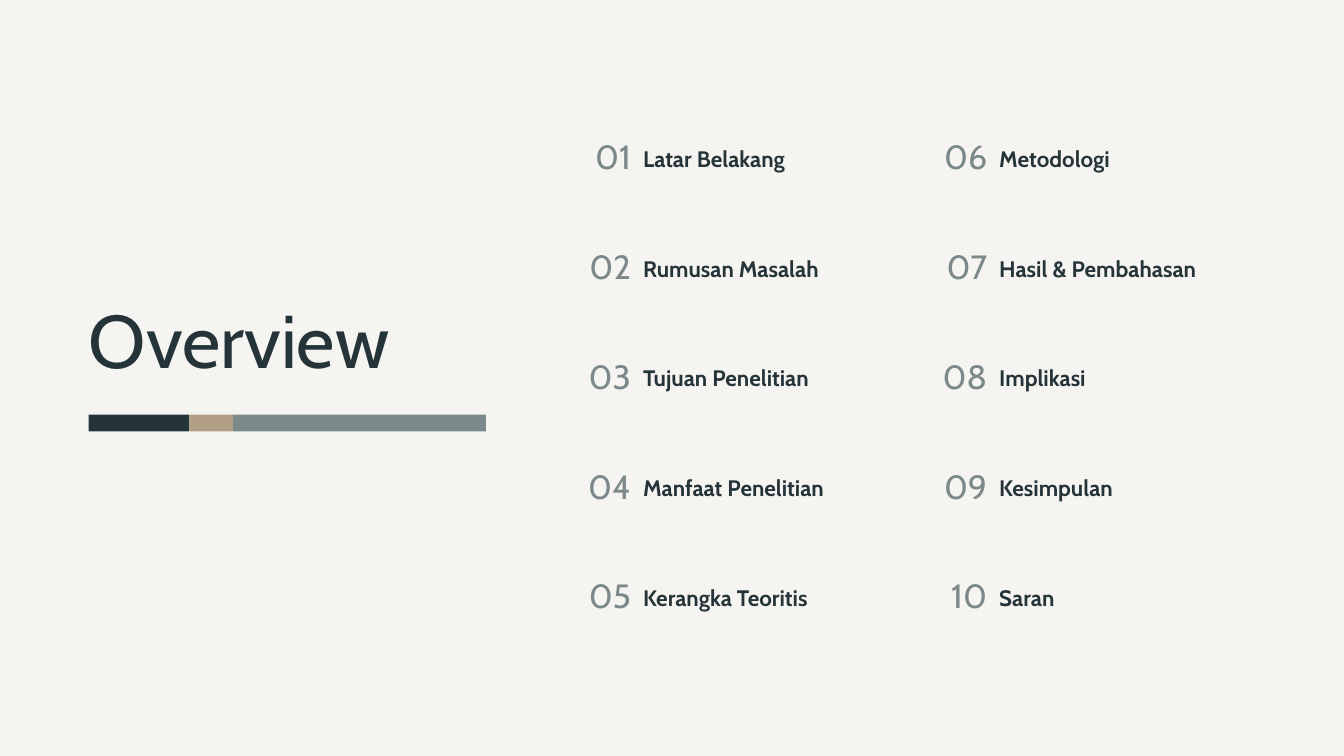
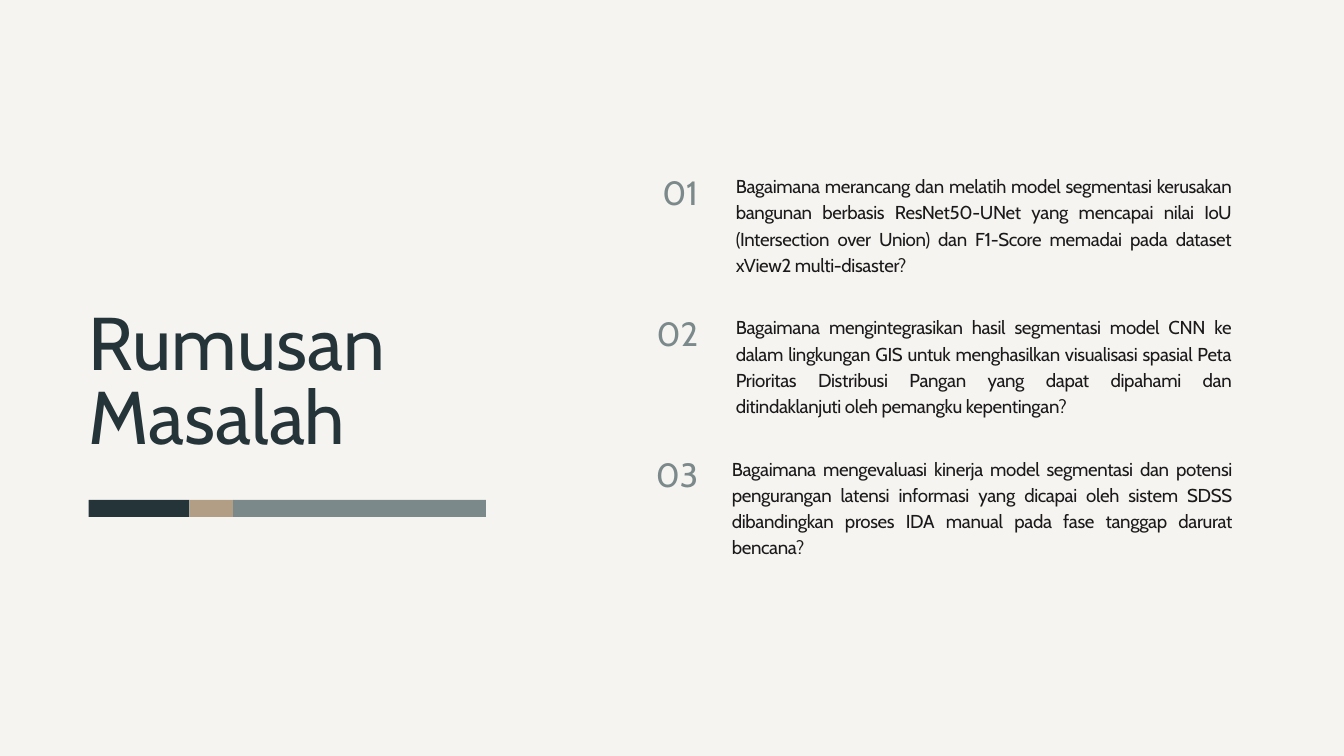
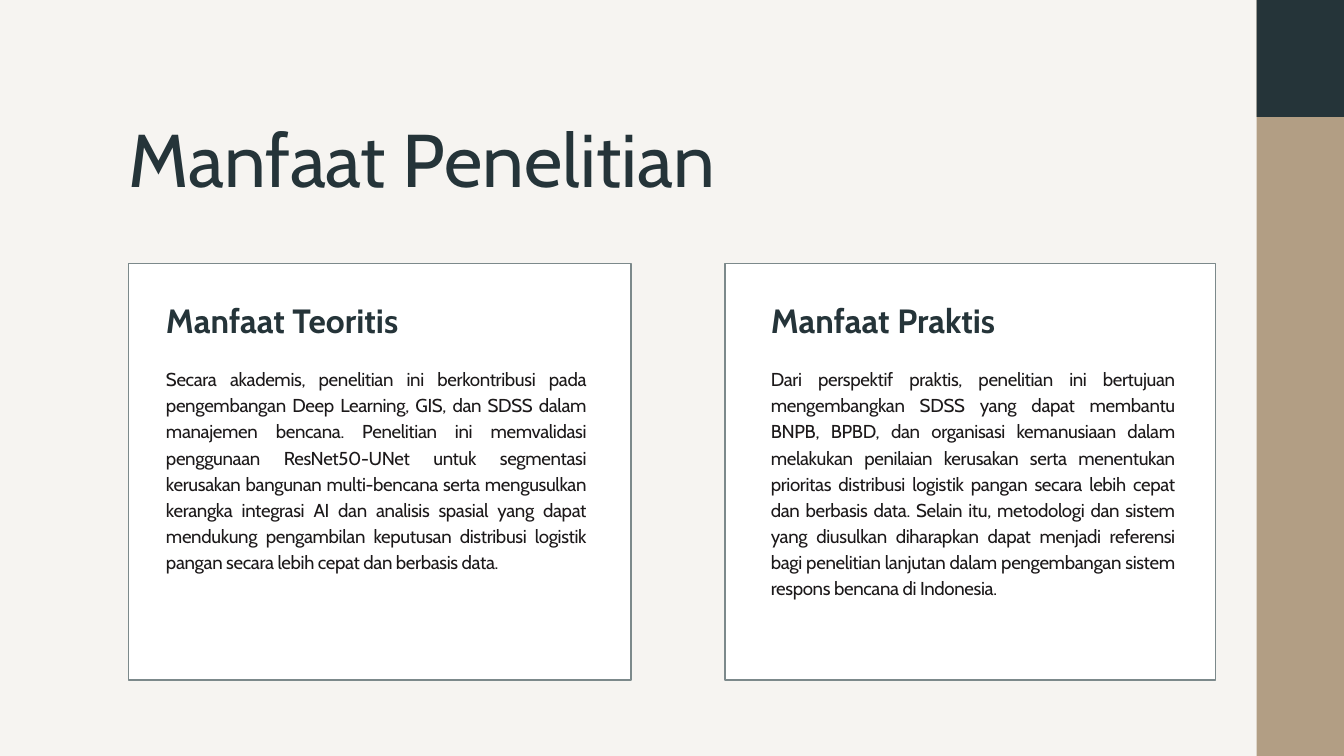
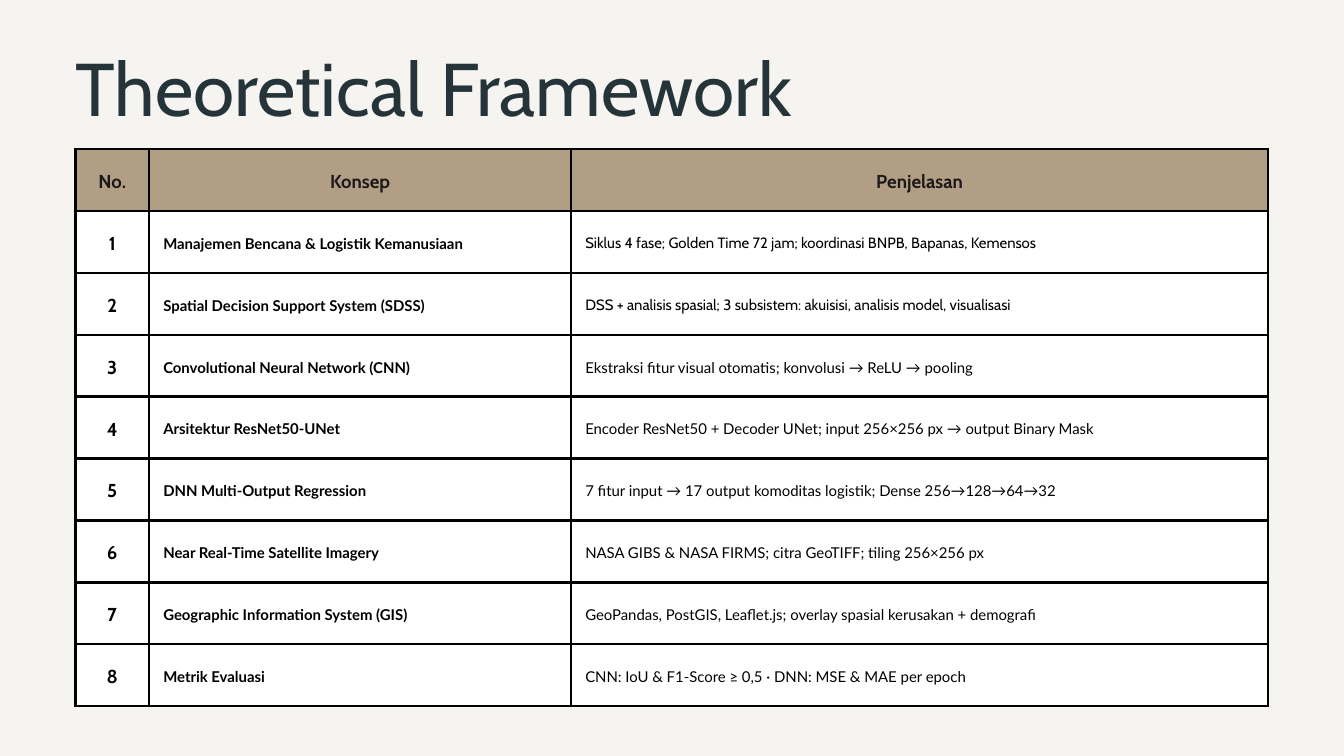
from dataclasses import dataclass, replace
from typing import NamedTuple

from pptx import Presentation
from pptx.dml.color import RGBColor
from pptx.enum.shapes import MSO_SHAPE
from pptx.enum.text import MSO_ANCHOR, MSO_AUTO_SIZE, PP_ALIGN
from pptx.oxml.ns import qn
from pptx.util import Inches, Pt
from lxml.etree import SubElement

COLORS = {
    "background": "F6F4F1",
    "dark": "253439",
    "sand": "B29E84",
    "slate": "7C898B",
    "ink": "1C191A",
    "white": "FFFFFF",
    "black": "000000",
}
SLIDE_WIDTH, SLIDE_HEIGHT = 20, 11.25
TITLE_ONLY, COMPARISON = 5, 4


class Box(NamedTuple):
    left: float
    top: float
    width: float
    height: float


@dataclass(frozen=True)
class TextStyle:
    size: float
    line: float
    color: str
    bold: bool = False
    align: PP_ALIGN = PP_ALIGN.LEFT
    font: str = "Cabin"
    tracking: int = 0


TITLE = TextStyle(80, 80, "dark")
NUMBER = TextStyle(36, 36, "slate", align=PP_ALIGN.RIGHT)
TOPIC = TextStyle(24, 26.4, "dark", bold=True)
HEADING = TextStyle(36, 36, "dark", bold=True)
BODY = TextStyle(20, 28, "ink", align=PP_ALIGN.JUSTIFY, tracking=-40)
TABLE_HEADER = TextStyle(20, 28, "ink", bold=True, align=PP_ALIGN.CENTER)
TABLE_NUMBER = replace(TABLE_HEADER, color="black")
TABLE_CONCEPT = TextStyle(16, 22.4, "black", bold=True, font="Lato")
TABLE_DETAIL = replace(TABLE_CONCEPT, bold=False)


class Question(NamedTuple):
    text: str
    left: float
    width: float


class Benefit(NamedTuple):
    heading: str
    text: str
    card: Box
    text_left: float
    text_width: float


class Concept(NamedTuple):
    name: str
    detail: str
    font: str = "Lato"


TOPIC_COLUMNS = [
    ["Latar Belakang", "Rumusan Masalah", "Tujuan Penelitian", "Manfaat Penelitian", "Kerangka Teoritis"],
    ["Metodologi", "Hasil & Pembahasan", "Implikasi", "Kesimpulan", "Saran"],
]

QUESTIONS = [
    Question(
        "Bagaimana merancang dan melatih model segmentasi kerusakan bangunan berbasis "
        "ResNet50-UNet yang mencapai nilai IoU (Intersection over Union) dan F1-Score "
        "memadai pada dataset xView2 multi-disaster?", 10.95, 7.37),
    Question(
        "Bagaimana mengintegrasikan hasil segmentasi model CNN ke dalam lingkungan GIS "
        "untuk menghasilkan visualisasi spasial Peta Prioritas Distribusi Pangan yang "
        "dapat dipahami dan ditindaklanjuti oleh pemangku kepentingan?", 10.95, 7.37),
    Question(
        "Bagaimana mengevaluasi kinerja model segmentasi dan potensi pengurangan latensi "
        "informasi yang dicapai oleh sistem SDSS dibandingkan proses IDA manual pada fase "
        "tanggap darurat bencana?", 10.89, 7.44),
]

BENEFITS = [
    Benefit(
        "Manfaat Teoritis",
        "Secara akademis, penelitian ini berkontribusi pada pengembangan Deep Learning, "
        "GIS, dan SDSS dalam manajemen bencana. Penelitian ini memvalidasi penggunaan "
        "ResNet50-UNet untuk segmentasi kerusakan bangunan multi-bencana serta mengusulkan "
        "kerangka integrasi AI dan analisis spasial yang dapat mendukung pengambilan "
        "keputusan distribusi logistik pangan secara lebih cepat dan berbasis data.",
        Box(1.91, 3.92, 7.48, 6.2), 2.47, 6.25),
    Benefit(
        "Manfaat Praktis",
        "Dari perspektif praktis, penelitian ini bertujuan mengembangkan SDSS yang dapat "
        "membantu BNPB, BPBD, dan organisasi kemanusiaan dalam melakukan penilaian "
        "kerusakan serta menentukan prioritas distribusi logistik pangan secara lebih "
        "cepat dan berbasis data. Selain itu, metodologi dan sistem yang diusulkan "
        "diharapkan dapat menjadi referensi bagi penelitian lanjutan dalam pengembangan "
        "sistem respons bencana di Indonesia.",
        Box(10.79, 3.92, 7.3, 6.2), 11.47, 6.01),
]

CONCEPTS = [
    Concept("Manajemen Bencana & Logistik Kemanusiaan",
            "Siklus 4 fase; Golden Time 72 jam; koordinasi BNPB, Bapanas, Kemensos", "Cabin"),
    Concept("Spatial Decision Support System (SDSS)",
            "DSS + analisis spasial; 3 subsistem: akuisisi, analisis model, visualisasi", "Cabin"),
    Concept("Convolutional Neural Network (CNN)",
            "Ekstraksi fitur visual otomatis; konvolusi → ReLU → pooling"),
    Concept("Arsitektur ResNet50-UNet",
            "Encoder ResNet50 + Decoder UNet; input 256×256 px → output Binary Mask"),
    Concept("DNN Multi-Output Regression",
            "7 fitur input → 17 output komoditas logistik; Dense 256→128→64→32"),
    Concept("Near Real-Time Satellite Imagery",
            "NASA GIBS & NASA FIRMS; citra GeoTIFF; tiling 256×256 px"),
    Concept("Geographic Information System (GIS)",
            "GeoPandas, PostGIS, Leaflet.js; overlay spasial kerusakan + demografi"),
    Concept("Metrik Evaluasi",
            "CNN: IoU & F1-Score ≥ 0,5 · DNN: MSE & MAE per epoch"),
]


def rgb(name: str) -> RGBColor:
    return RGBColor.from_string(COLORS[name])


def inches(box: Box) -> list:
    return [Inches(length) for length in box]


def write_text(text_frame, text: str, style: TextStyle) -> None:
    text_frame.text = text
    paragraph = text_frame.paragraphs[0]
    paragraph.alignment = style.align
    paragraph.line_spacing = Pt(style.line)
    paragraph.space_before = Pt(0)
    for run in paragraph.runs:
        run.font.name = style.font
        run.font.size = Pt(style.size)
        run.font.bold = style.bold
        run.font.color.rgb = rgb(style.color)
        if style.tracking:
            run.font._element.set("spc", str(style.tracking))


def write_box(shape, text: str, style: TextStyle) -> None:
    """Write into a text box or placeholder that has no insets."""
    text_frame = shape.text_frame
    text_frame.word_wrap = True
    text_frame.auto_size = MSO_AUTO_SIZE.NONE
    text_frame.vertical_anchor = MSO_ANCHOR.TOP
    text_frame.margin_left = text_frame.margin_right = 0
    text_frame.margin_top = text_frame.margin_bottom = 0
    write_text(text_frame, text, style)


def add_text(slide, box: Box, text: str, style: TextStyle) -> None:
    write_box(slide.shapes.add_textbox(*inches(box)), text, style)


def fill_placeholder(shape, box: Box, text: str, style: TextStyle) -> None:
    shape.left, shape.top, shape.width, shape.height = inches(box)
    write_box(shape, text, style)
    properties = shape.text_frame.paragraphs[0]._p.get_or_add_pPr()
    properties.set("marL", "0")
    properties.set("indent", "0")
    SubElement(properties, qn("a:buNone"))


def add_rectangle(slide, box: Box, fill: str, line: str = ""):
    shape = slide.shapes.add_shape(MSO_SHAPE.RECTANGLE, *inches(box))
    shape.shadow.inherit = False
    shape.fill.solid()
    shape.fill.fore_color.rgb = rgb(fill)
    if line:
        shape.line.color.rgb = rgb(line)
        shape.line.width = Pt(1.5)
    else:
        shape.line.fill.background()
    return shape


def add_slide(presentation, layout: int, title: str, title_box: Box):
    slide = presentation.slides.add_slide(presentation.slide_layouts[layout])
    fill_placeholder(slide.shapes.title, title_box, title, TITLE)
    return slide


def add_title_bar(slide, top: float) -> None:
    left = 1.32
    for width, color in ((1.5, "dark"), (0.65, "sand"), (3.76, "slate")):
        add_rectangle(slide, Box(left, top, width, 0.25), color)
        left += width


def style_cell(cell, text: str, style: TextStyle, fill: str) -> None:
    properties = cell._tc.get_or_add_tcPr()
    for side in ("lnL", "lnR", "lnT", "lnB"):
        border = SubElement(properties, qn(f"a:{side}"), w=str(Pt(3)))
        border_fill = SubElement(border, qn("a:solidFill"))
        SubElement(border_fill, qn("a:srgbClr"), val=COLORS["black"])
    cell.fill.solid()
    cell.fill.fore_color.rgb = rgb(fill)
    cell.vertical_anchor = MSO_ANCHOR.MIDDLE
    cell.margin_left = cell.margin_right = Inches(0.21)
    cell.margin_top = cell.margin_bottom = Inches(0.21)
    write_text(cell.text_frame, text, style)


def build_overview(presentation) -> None:
    slide = add_slide(presentation, TITLE_ONLY, "Overview", Box(1.32, 4.6, 6.68, 1.16))
    add_title_bar(slide, 6.17)
    number = 1
    for topics, number_left, topic_left in zip(TOPIC_COLUMNS, (8.18, 13.48), (9.57, 14.87)):
        for row, topic in enumerate(topics):
            offset = row * 1.6325
            add_text(slide, Box(number_left, 2.13 + offset, 1.21, 0.53), f"{number:02}", NUMBER)
            add_text(slide, Box(topic_left, 2.19 + offset, 4, 0.37), topic, TOPIC)
            number += 1


def build_questions(presentation) -> None:
    slide = add_slide(presentation, TITLE_ONLY, "Rumusan Masalah", Box(1.32, 4.62, 6.63, 2.26))
    add_title_bar(slide, 7.44)
    for row, question in enumerate(QUESTIONS):
        top = 2.55 + row * 2.1
        add_text(slide, Box(8.81, top + 0.11, 1.58, 0.53), f"{row + 1:02}", NUMBER)
        add_text(slide, Box(question.left, top, question.width, 1.91), question.text, BODY)


def build_benefits(presentation) -> None:
    slide = add_slide(presentation, COMPARISON, "Manfaat Penelitian", Box(1.91, 1.9, 14.61, 1.16))
    placeholders = {shape.placeholder_format.idx: shape for shape in slide.placeholders}
    for benefit, heading_index in zip(BENEFITS, (1, 3)):
        card = add_rectangle(slide, benefit.card, "white", "slate")
        slide.shapes._spTree.insert(2, card._element)  # behind the placeholders
        left, width = benefit.text_left, benefit.text_width
        fill_placeholder(placeholders[heading_index], Box(left, 4.56, 4.41, 0.51),
                         benefit.heading, HEADING)
        fill_placeholder(placeholders[heading_index + 1], Box(left, 5.42, width, 4.23),
                         benefit.text, BODY)
    band_left, dark_height = 18.7, 1.74
    band_width = SLIDE_WIDTH - band_left
    add_rectangle(slide, Box(band_left, 0, band_width, SLIDE_HEIGHT), "sand")
    add_rectangle(slide, Box(band_left, 0, band_width, dark_height), "dark")


def build_framework(presentation) -> None:
    slide = add_slide(presentation, TITLE_ONLY, "Theoretical Framework", Box(1.12, 0.84, 15.53, 1.16))
    headers = ("No.", "Konsep", "Penjelasan")
    table_box = Box(1.12, 2.22, 17.75, 8.29)
    table = slide.shapes.add_table(len(CONCEPTS) + 1, len(headers), *inches(table_box)).table
    table.horz_banding = False
    for column, width in zip(table.columns, (1.1, 6.28, 10.37)):
        column.width = Inches(width)
    for column, header in enumerate(headers):
        style_cell(table.cell(0, column), header, TABLE_HEADER, "sand")
    for row, concept in enumerate(CONCEPTS, start=1):
        entries = (
            (str(row), TABLE_NUMBER),
            (concept.name, TABLE_CONCEPT),
            (concept.detail, replace(TABLE_DETAIL, font=concept.font)),
        )
        for column, (text, style) in enumerate(entries):
            style_cell(table.cell(row, column), text, style, "white")


def main() -> None:
    presentation = Presentation()
    presentation.slide_width = Inches(SLIDE_WIDTH)
    presentation.slide_height = Inches(SLIDE_HEIGHT)
    background = presentation.slide_master.background.fill
    background.solid()
    background.fore_color.rgb = rgb("background")
    build_overview(presentation)
    build_questions(presentation)
    build_benefits(presentation)
    build_framework(presentation)
    presentation.save("out.pptx")


if __name__ == "__main__":
    main()
